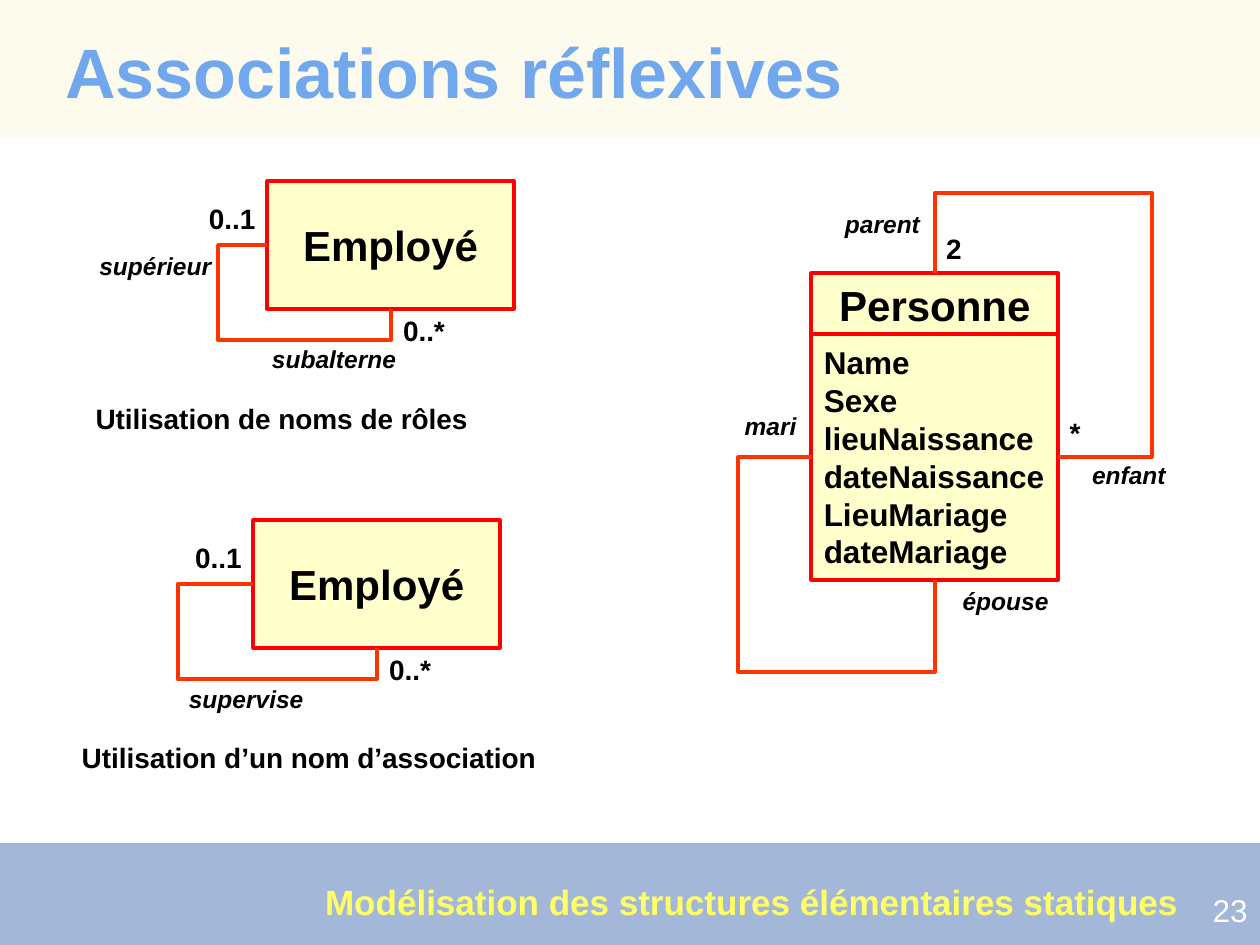
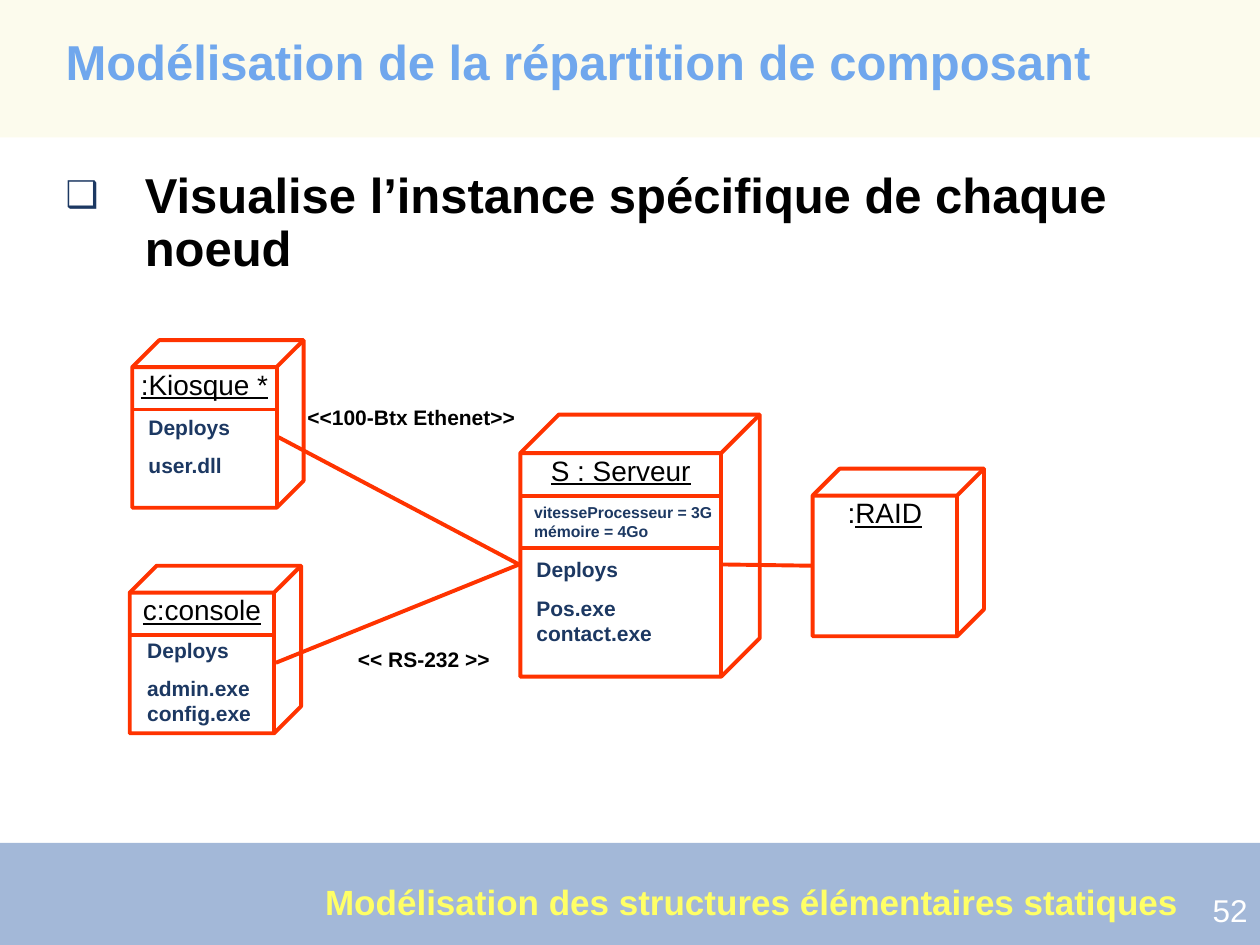
from lxml import etree
from pptx import Presentation
from pptx import util as u
from pptx.dml import color as dml
from pptx.enum import shapes, text
from pptx.oxml import ns

COLORS = {
    "cream": "FAF8D8", "band": "3363A9", "title": "0066FF", "footer": "FFFF66",
    "white": "FFFFFF", "black": "000000", "class_fill": "FFFFCC",
    "class_line": "FF0000", "link": "FF3300", "navy": "1C3862",
}
FONT = "Arial"
COLUMNS, ROWS = 100, 75
LINE_WIDTH = 2.25
CUBE_DEPTH = 0.161
LEFT, CENTER, RIGHT = text.PP_ALIGN.LEFT, text.PP_ALIGN.CENTER, text.PP_ALIGN.RIGHT
FOOTER = "Modélisation des structures élémentaires statiques"


def rgb(name):
    return dml.RGBColor.from_string(COLORS[name])


def add_child(parent, tag, **attributes):
    child = etree.SubElement(parent, ns.qn(tag))
    for key, value in attributes.items():
        child.set(key, str(value))
    return child


class Deck:
    def __init__(self):
        self.presentation = Presentation()
        self.presentation.slide_width = u.Inches(10)
        self.presentation.slide_height = u.Inches(7.5)
        self.slide = None

    def x(self, columns):
        return round(self.presentation.slide_width * columns / COLUMNS)

    def y(self, rows):
        return round(self.presentation.slide_height * rows / ROWS)

    def box(self, left, top, width, height):
        return self.x(left), self.y(top), self.x(width), self.y(height)

    def new_slide(self, layout, title, title_size, title_height, number):
        self.slide = self.presentation.slides.add_slide(
            self.presentation.slide_layouts[layout])
        self.band(0, 10.9, "cream")
        self.band(66.9, 8.1, "band")
        self.label(90.2, 70.2, 9.8, 4, number, 18, "white", align=RIGHT, bold=False)
        self.label(25.8, 69.9, 67.8, 3.3, FOOTER, 20, "footer", tight=True)
        self.placeholder(self.slide.shapes.title, (4.2, 2.5, 93.7, title_height),
                         title, title_size, "title", text.MSO_ANCHOR.MIDDLE)

    def band(self, top, height, color):
        shape = self.shape(shapes.MSO_SHAPE.RECTANGLE, (0, top, COLUMNS, height), color)
        fill_color = shape.fill._xPr.find(ns.qn("a:solidFill"))[0]
        add_child(fill_color, "a:alpha", val=45000)

    def shape(self, kind, place, fill=None, line=None):
        shape = self.slide.shapes.add_shape(kind, *self.box(*place))
        shape.shadow.inherit = False
        if fill:
            shape.fill.solid()
            shape.fill.fore_color.rgb = rgb(fill)
        else:
            shape.fill.background()
        if line:
            shape.line.color.rgb = rgb(line)
            shape.line.width = u.Pt(LINE_WIDTH)
        else:
            shape.line.fill.background()
        return shape

    def margins(self, frame, horizontal, vertical):
        frame.margin_left = frame.margin_right = u.Inches(horizontal)
        frame.margin_top = frame.margin_bottom = u.Inches(vertical)

    def format(self, frame, size, color, align=LEFT, bold=True, italic=False, before=0):
        for index, paragraph in enumerate(frame.paragraphs):
            paragraph.alignment = align
            paragraph.space_before = u.Pt(before if index else 0)
            for run in paragraph.runs:
                run.font.name = FONT
                run.font.size = u.Pt(size)
                run.font.bold = bold
                run.font.italic = italic
                run.font.color.rgb = rgb(color)

    def placeholder(self, shape, place, content, size, color, anchor):
        shape.left, shape.top, shape.width, shape.height = self.box(*place)
        frame = shape.text_frame
        frame.text = content
        frame.auto_size = text.MSO_AUTO_SIZE.NONE
        frame.vertical_anchor = anchor
        self.margins(frame, 0.1, 0.05)
        self.format(frame, size, color)
        for paragraph in frame.paragraphs:
            paragraph.line_spacing = 0.9
        return frame

    def bullets(self, place, content, size):
        frame = self.placeholder(self.slide.placeholders[1], place, content, size,
                                 "black", text.MSO_ANCHOR.TOP)
        for paragraph in frame.paragraphs:
            properties = paragraph._p.get_or_add_pPr()
            properties.set("marL", str(u.Inches(0.63)))
            properties.set("indent", str(u.Inches(-0.63)))
            add_child(add_child(properties, "a:buClr"), "a:srgbClr", val=COLORS["navy"])
            add_child(properties, "a:buSzPct", val=75000)
            add_child(properties, "a:buFont", typeface=FONT)
            add_child(properties, "a:buChar", char="❑")

    def label(self, left, top, width, height, content, size, color="black",
              tight=False, **style):
        shape = self.slide.shapes.add_textbox(*self.box(left, top, width, height))
        frame = shape.text_frame
        frame.word_wrap = not tight
        frame.auto_size = text.MSO_AUTO_SIZE.SHAPE_TO_FIT_TEXT
        self.margins(frame, *((0, 0) if tight else (0.1, 0.05)))
        frame.text = content
        self.format(frame, size, color, **style)

    def multiplicity(self, left, top, content, width=6.1):
        self.label(left, top, width, 3.7, content, 16)

    def role(self, left, top, content, width=13.5, align=LEFT):
        self.label(left, top, width, 3.4, content, 14, italic=True, align=align)

    def class_box(self, place, content, size=24, align=CENTER):
        shape = self.shape(shapes.MSO_SHAPE.RECTANGLE, place, "class_fill", "class_line")
        frame = shape.text_frame
        frame.word_wrap = False
        frame.vertical_anchor = text.MSO_ANCHOR.MIDDLE
        self.margins(frame, 0.1, 0.05)
        frame.text = content
        self.format(frame, size, "black", align)
        return shape

    def node(self, place, underlined, plain="", dividers=()):
        shape = self.shape(shapes.MSO_SHAPE.CUBE, place, line="link")
        shape.adjustments[0] = CUBE_DEPTH
        frame = shape.text_frame
        frame.word_wrap = False
        frame.vertical_anchor = text.MSO_ANCHOR.TOP
        self.margins(frame, 0, 0)
        frame.text = plain
        name = frame.paragraphs[0].add_run()
        name.text = underlined
        self.format(frame, 16, "black", CENTER, bold=False)
        name.font.underline = True
        left, top, width, height = place
        front = width - CUBE_DEPTH * min(width, height)
        for row in dividers:
            self.link((left, top + row), (left + front, top + row))

    def connector(self, kind, begin, end):
        connector = self.slide.shapes.add_connector(kind, *begin, *end)
        connector.line.color.rgb = rgb("link")
        connector.line.width = u.Pt(LINE_WIDTH)
        add_child(connector._element.spPr, "a:effectLst")
        return connector

    def link(self, begin, end):
        points = [(self.x(column), self.y(row)) for column, row in (begin, end)]
        self.connector(shapes.MSO_CONNECTOR.STRAIGHT, *points)

    def loop(self, begin_shape, begin_side, end_shape, end_side, reach, overshoot):
        begin = self.side_middle(begin_shape, begin_side)
        end = self.side_middle(end_shape, end_side)
        connector = self.connector(shapes.MSO_CONNECTOR.ELBOW, begin, end)
        connector.begin_connect(begin_shape, begin_side)
        connector.end_connect(end_shape, end_side)
        width, height = end[0] - begin[0], end[1] - begin[1]
        turned = begin_side == 0
        if turned:
            width, height = height, width
        connector.width, connector.height = width, height
        connector.left = round((begin[0] + end[0] - width) / 2)
        connector.top = round((begin[1] + end[1] - height) / 2)
        properties = connector._element.spPr
        frame = properties.find(ns.qn("a:xfrm"))
        frame.set("rot", str((270 if turned else 180) * 60000))
        frame.set("flipH", "1")
        frame.set("flipV", "0" if turned else "1")
        geometry = properties.find(ns.qn("a:prstGeom"))
        geometry.set("prst", "bentConnector4")
        guides = geometry.find(ns.qn("a:avLst"))
        ratios = (-self.x(reach) / width, 1 + self.x(overshoot) / height)
        for index, ratio in enumerate(ratios, 1):
            add_child(guides, "a:gd", name=f"adj{index}",
                      fmla=f"val {round(ratio * 100000)}")

    def side_middle(self, shape, side):
        across, down = ((0.5, 0), (0, 0.5), (0.5, 1), (1, 0.5))[side]
        return (round(shape.left + shape.width * across),
                round(shape.top + shape.height * down))

    def employee(self, left, top, reach, caption, caption_width):
        employee = self.class_box((left, top, 19.6, 10.1), "Employé")
        self.loop(employee, 1, employee, 2, reach, 2.5)
        self.multiplicity(left - 5.6, top + 1.1, "0..1")
        self.multiplicity(left + 9.8, top + 10, "0..*")
        self.multiplicity(left - 14.6, top + 17, caption, caption_width)


def reflexive_associations(deck):
    deck.new_slide(5, "Associations réflexives", 40, 7, "23")
    deck.employee(21.2, 14.4, 3.9, "Utilisation de noms de rôles", 34.1)
    deck.role(20.6, 26.8, "subalterne")
    deck.role(6.9, 19.4, "supérieur")
    deck.employee(20.1, 41.3, 6, "Utilisation d’un nom d’association", 38.9)
    deck.role(14, 53.8, "supervise")

    name = deck.class_box((64.4, 21.7, 19.6, 4.9), "Personne")
    attributes = deck.class_box(
        (64.4, 26.5, 19.6, 19.5),
        "Name\nSexe\nlieuNaissance\ndateNaissance\nLieuMariage\ndateMariage", 18, LEFT)
    deck.loop(attributes, 1, attributes, 2, 5.8, 7.3)
    deck.loop(name, 0, attributes, 3, 6.4, 7.4)
    deck.role(57, 32.1, "mari", 7.2, RIGHT)
    for left, top, content in ((74, 46, "épouse"), (83.3, 36, "enfant"),
                               (63.8, 16.1, "parent")):
        deck.role(left, top, content, 10.2, RIGHT)
    deck.multiplicity(83.9, 32.5, "*", 2.8)
    deck.multiplicity(74.1, 17.9, "2", 2.8)


def component_deployment(deck):
    deck.new_slide(1, "Modélisation de la répartition de composant", 28, 5.2, "52")
    deck.bullets((4.2, 13.1, 93.8, 9.4),
                 "Visualise l’instance spécifique de chaque noeud", 28)
    deck.node((10.5, 27, 13.6, 13.3), ":Kiosque *", dividers=[5.5])
    deck.node((10.3, 44.9, 13.6, 13.3), "c:console", dividers=[5.5])
    deck.node((41.3, 32.9, 19, 20.8), "S : Serveur", dividers=[6.5, 10.6])
    deck.node((64.5, 37.2, 13.6, 13.3), "RAID", plain=":")
    for begin, end in (((22.1, 34.7), (41.2, 44.8)), ((21.9, 52.6), (41.2, 44.8)),
                       ((57.4, 44.8), (64.4, 44.9))):
        deck.link(begin, end)
    deck.label(24.4, 32.1, 16.5, 2, "<<100-Btx Ethenet>>", 12, tight=True)
    deck.label(28.4, 51.3, 10.5, 2, "<< RS-232 >>", 12, tight=True)
    deck.label(41.4, 39.4, 16.6, 4, "vitesseProcesseur = 3G\vmémoire = 4Go", 9, "navy")
    for left, top, width, height, files in (
            (10.8, 32.4, 11.2, 6.1, "user.dll"),
            (10.7, 50.1, 11.2, 8.1, "admin.exe\vconfig.exe"),
            (41.6, 43.7, 16.6, 8.1, "Pos.exe\vcontact.exe")):
        deck.label(left, top, width, height, f"Deploys\n{files}", 12, "navy", before=7.5)


def main():
    deck = Deck()
    reflexive_associations(deck)
    component_deployment(deck)
    deck.presentation.save("out.pptx")


if __name__ == "__main__":
    main()
